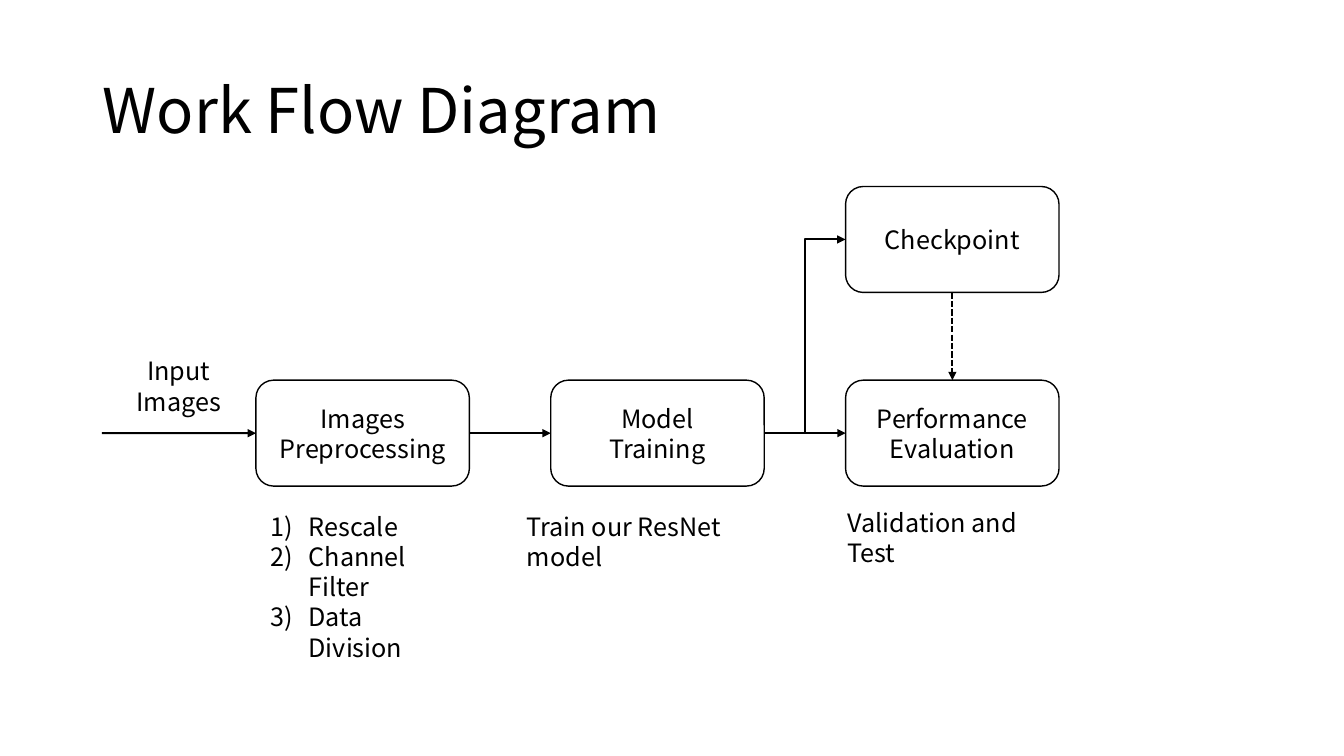
from lxml import etree
from pptx import Presentation
from pptx.dml.color import RGBColor
from pptx.enum.dml import MSO_LINE
from pptx.enum.shapes import MSO_CONNECTOR, MSO_SHAPE
from pptx.enum.text import MSO_ANCHOR, PP_ALIGN
from pptx.oxml.ns import qn
from pptx.util import Cm, Pt

BLACK = RGBColor(0x00, 0x00, 0x00)
WHITE = RGBColor(0xFF, 0xFF, 0xFF)
FONT_NAME = "Noto Sans CJK SC"
STRAIGHT, ELBOW = MSO_CONNECTOR.STRAIGHT, MSO_CONNECTOR.ELBOW
ROUNDED_RECTANGLE = MSO_SHAPE.ROUNDED_RECTANGLE
LEFT, CENTER = PP_ALIGN.LEFT, PP_ALIGN.CENTER
MIDDLE = MSO_ANCHOR.MIDDLE
DASHED = MSO_LINE.SQUARE_DOT
TOP_SIDE, LEFT_SIDE, BOTTOM_SIDE, RIGHT_SIDE = range(4)

BOX_WIDTH, BOX_HEIGHT = 5.38, 2.67
FIRST_BOX_LEFT, BOX_PITCH = 6.45, 7.43
UPPER_ROW, LOWER_ROW = 4.7, 9.58


def write_text(shape, lines, size=18, alignment=LEFT, numbered=False):
    frame = shape.text_frame
    frame.word_wrap = True
    frame.text = "\n".join(lines)
    for paragraph in frame.paragraphs:
        paragraph.alignment = alignment
        if numbered:
            properties = paragraph._p.get_or_add_pPr()
            properties.set("marL", str(Cm(0.95)))
            properties.set("indent", str(-Cm(0.95)))
            etree.SubElement(properties, qn("a:buFont"), typeface="+mj-lt")
            etree.SubElement(properties, qn("a:buAutoNum"), type="arabicParenR")
        paragraph.font.name = FONT_NAME
        paragraph.font.size = Pt(size)
        paragraph.font.color.rgb = BLACK


def style_arrow(connector):
    connector.line.color.rgb = BLACK
    connector.line.width = Pt(1.5)
    etree.SubElement(connector.line._get_or_add_ln(), qn("a:tailEnd"), type="triangle")
    etree.SubElement(connector._element.spPr, qn("a:effectLst"))


presentation = Presentation()
presentation.slide_width = Cm(33.87)
presentation.slide_height = Cm(19.05)
slide = presentation.slides.add_slide(presentation.slide_layouts[6])

title = slide.shapes.add_textbox(Cm(2.34), Cm(1.02), Cm(29.21), Cm(3.68))
title.text_frame.vertical_anchor = MIDDLE
write_text(title, ["Work Flow Diagram"], size=44)
title.text_frame.paragraphs[0].line_spacing = 0.9

# Process steps: column, top, text
steps = [
    (0, LOWER_ROW, ["Images", "Preprocessing"]),
    (1, LOWER_ROW, ["Model", "Training"]),
    (2, LOWER_ROW, ["Performance Evaluation"]),
    (2, UPPER_ROW, ["Checkpoint"]),
]
boxes = []
for column, top, lines in steps:
    box = slide.shapes.add_shape(
        ROUNDED_RECTANGLE, Cm(FIRST_BOX_LEFT + column * BOX_PITCH), Cm(top),
        Cm(BOX_WIDTH), Cm(BOX_HEIGHT))
    box.shadow.inherit = False
    box.fill.solid()
    box.fill.fore_color.rgb = WHITE
    box.line.color.rgb = BLACK
    box.line.width = Pt(1)
    box.text_frame.vertical_anchor = MIDDLE
    write_text(box, lines, alignment=CENTER)
    boxes.append(box)
preprocessing, training, evaluation, checkpoint = boxes

# Captions: left, top, width, height, text, alignment, numbered
captions = [
    (2.84, 8.84, 3.33, 1.8, ["Input Images"], CENTER, False),
    (6.58, 12.75, 4.9, 4.1, ["Rescale", "Channel Filter", "Data Division"], LEFT, True),
    (13.03, 12.75, 6.4, 1.8, ["Train our ResNet model"], LEFT, False),
    (21.11, 12.65, 5.4, 1.8, ["Validation and Test"], LEFT, False),
]
for left, top, width, height, lines, alignment, numbered in captions:
    caption = slide.shapes.add_textbox(Cm(left), Cm(top), Cm(width), Cm(height))
    write_text(caption, lines, alignment=alignment, numbered=numbered)

middle = Cm(LOWER_ROW + BOX_HEIGHT / 2)
input_arrow = slide.shapes.add_connector(
    STRAIGHT, Cm(2.57), middle, Cm(FIRST_BOX_LEFT), middle)
input_arrow.end_connect(preprocessing, LEFT_SIDE)
style_arrow(input_arrow)

links = [
    (STRAIGHT, preprocessing, RIGHT_SIDE, training, LEFT_SIDE),
    (STRAIGHT, training, RIGHT_SIDE, evaluation, LEFT_SIDE),
    (ELBOW, training, RIGHT_SIDE, checkpoint, LEFT_SIDE),
    (STRAIGHT, checkpoint, BOTTOM_SIDE, evaluation, TOP_SIDE),
]
for kind, source, source_side, target, target_side in links:
    arrow = slide.shapes.add_connector(kind, 0, 0, 0, 0)
    arrow.begin_connect(source, source_side)
    arrow.end_connect(target, target_side)
    if source is checkpoint:
        arrow.line.dash_style = DASHED
    style_arrow(arrow)

presentation.save("out.pptx")
